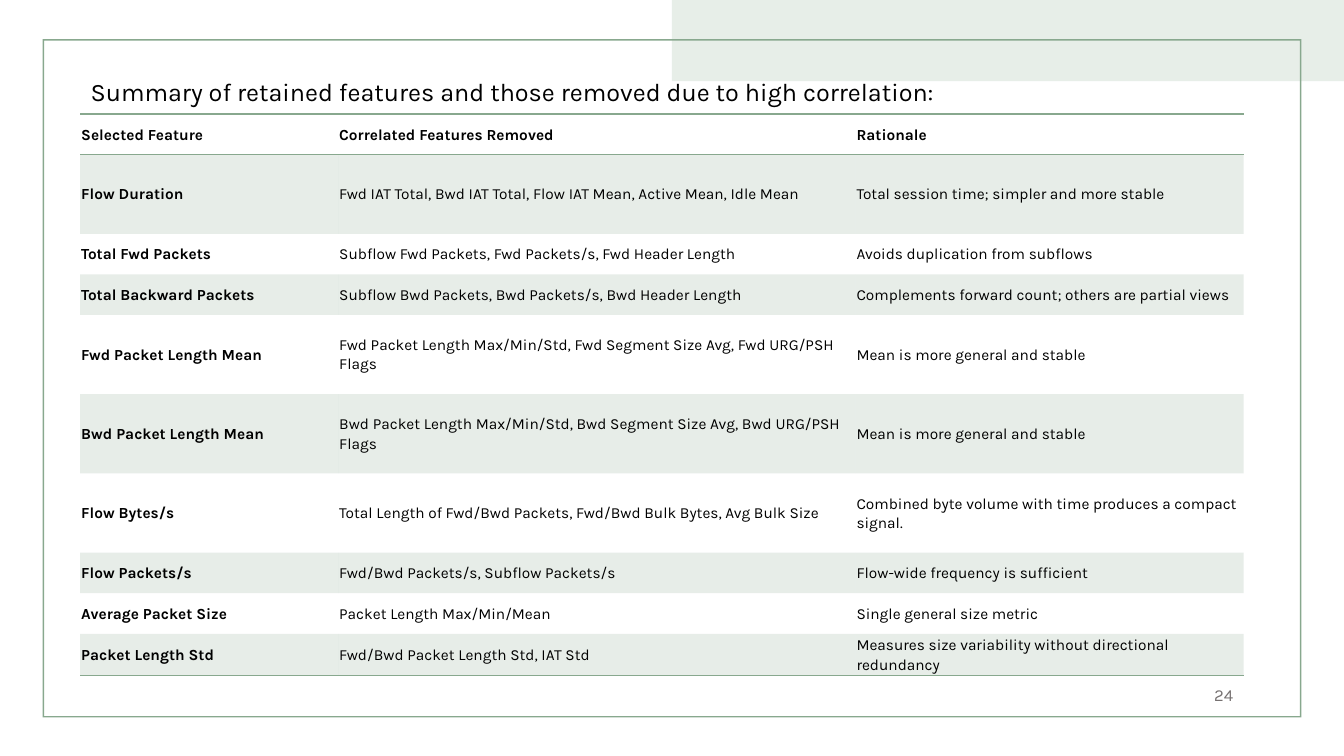
from lxml import etree
from pptx import Presentation
from pptx.dml.color import RGBColor
from pptx.enum import shapes, text
from pptx.oxml import ns
from pptx.util import Pt

FONT = "Karla"
GREEN = "88A88E"
NO_STYLE_NO_GRID = "{2D5ABB26-0587-4C30-8999-92F81FD0307C}"


def paint(fill, color):
    fill.solid()
    fill.fore_color.rgb = RGBColor.from_string(color)


def style(p, size, color, bold=False):
    p.font.name = FONT
    p.font.size = Pt(size)
    p.font.bold = bold
    paint(p.font.fill, color)


prs = Presentation()
prs.slide_width, prs.slide_height = Pt(960), Pt(540)
s = prs.slides.add_slide(prs.slide_layouts[6])

# Corner band and thin frame
band = s.shapes.add_shape(shapes.MSO_SHAPE.RECTANGLE, Pt(480), Pt(0), Pt(480), Pt(58))
frame = s.shapes.add_shape(shapes.MSO_SHAPE.FRAME, Pt(30.5), Pt(28), Pt(899), Pt(484.5))
frame.adjustments[0] = 0.002
for sp, color in ((band, "E7EEE8"), (frame, GREEN)):
    paint(sp.fill, color)
    sp.line.fill.background()
    sp.shadow.inherit = False

# Page number
number = s.shapes.add_textbox(Pt(672), Pt(481.7), Pt(216), Pt(28.8))
tf = number.text_frame
tf.word_wrap = True
tf.vertical_anchor = text.MSO_ANCHOR.MIDDLE
p = tf.paragraphs[0]
p.text = "24"
p.alignment = text.PP_ALIGN.RIGHT
style(p, 12, "767171")

# Feature table
features = [
    ("Selected Feature", "Correlated Features Removed", "Rationale"),
    ("Flow Duration",
     "Fwd IAT Total, Bwd IAT Total, Flow IAT Mean, Active Mean, Idle Mean",
     "Total session time; simpler and more stable"),
    ("Total Fwd Packets",
     "Subflow Fwd Packets, Fwd Packets/s, Fwd Header Length",
     "Avoids duplication from subflows"),
    ("Total Backward Packets",
     "Subflow Bwd Packets, Bwd Packets/s, Bwd Header Length",
     "Complements forward count; others are partial views"),
    ("Fwd Packet Length Mean",
     "Fwd Packet Length Max/Min/Std, Fwd Segment Size Avg, Fwd URG/PSH Flags",
     "Mean is more general and stable"),
    ("Bwd Packet Length Mean",
     "Bwd Packet Length Max/Min/Std, Bwd Segment Size Avg, Bwd URG/PSH Flags",
     "Mean is more general and stable"),
    ("Flow Bytes/s",
     "Total Length of Fwd/Bwd Packets, Fwd/Bwd Bulk Bytes, Avg Bulk Size",
     "Combined byte volume with time produces a compact signal."),
    ("Flow Packets/s",
     "Fwd/Bwd Packets/s, Subflow Packets/s",
     "Flow-wide frequency is sufficient"),
    ("Average Packet Size",
     "Packet Length Max/Min/Mean",
     "Single general size metric"),
    ("Packet Length Std",
     "Fwd/Bwd Packet Length Std, IAT Std",
     "Measures size variability without directional redundancy"),
]
tall_rows = {1, 4, 5, 6}
borders = {0: ("lnT", "lnB"), len(features) - 1: ("lnB",)}

table = s.shapes.add_table(len(features), 3, Pt(57.3), Pt(81.4), Pt(831), Pt(400.4)).table
table._tbl.tblPr.find(ns.qn("a:tableStyleId")).text = NO_STYLE_NO_GRID
for column, width in zip(table.columns, (184.3, 369.5, 277.2)):
    column.width = Pt(width)

for i, row in enumerate(features):
    table.rows[i].height = Pt(56.6 if i in tall_rows else 29)
    for j, words in enumerate(row):
        cell = table.cell(i, j)
        cell.margin_left = cell.margin_right = Pt(0.75)
        cell.margin_top = cell.margin_bottom = Pt(0.75)
        cell.vertical_anchor = text.MSO_ANCHOR.MIDDLE
        p = cell.text_frame.paragraphs[0]
        p.text = words
        p.line_spacing = 1.07
        p.space_after = Pt(8)
        style(p, 11, "000000", bold=i == 0 or j == 0)

        tc_pr = cell._tc.get_or_add_tcPr()
        if i % 2:
            paint(cell.fill, GREEN)
            rgb = tc_pr.find(".//" + ns.qn("a:srgbClr"))
            etree.SubElement(rgb, ns.qn("a:alpha"), val="20000")
        else:
            cell.fill.background()
        for k, side in enumerate(borders.get(i, ())):
            ln = etree.Element(ns.qn("a:" + side), w=str(Pt(1)))
            solid = etree.SubElement(ln, ns.qn("a:solidFill"))
            etree.SubElement(solid, ns.qn("a:srgbClr"), val=GREEN)
            tc_pr.insert(k, ln)

# Heading
heading = s.shapes.add_textbox(Pt(57.6), Pt(51.2), Pt(649.4), Pt(29))
tf = heading.text_frame
tf.word_wrap = True
tf.auto_size = text.MSO_AUTO_SIZE.SHAPE_TO_FIT_TEXT
p = tf.paragraphs[0]
p.text = "Summary of retained features and those removed due to high correlation:"
style(p, 18, "000000")

prs.save("out.pptx")
